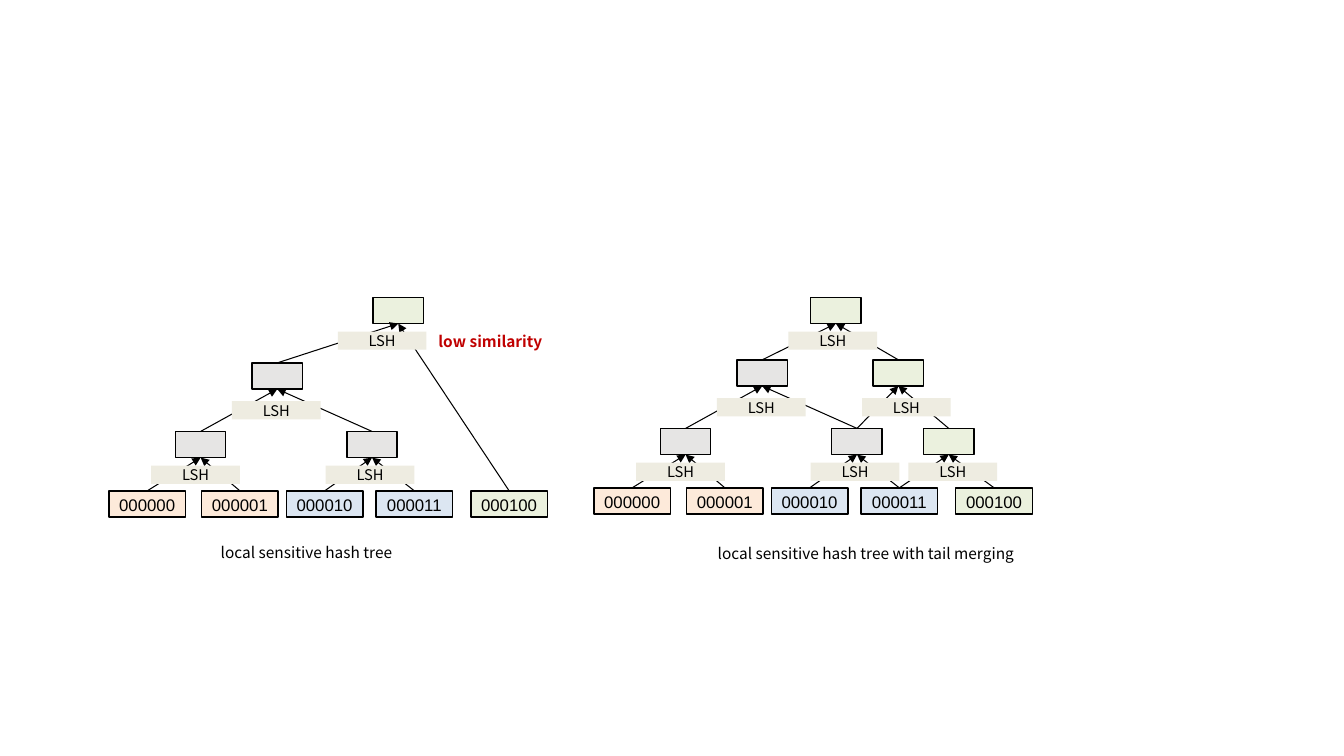
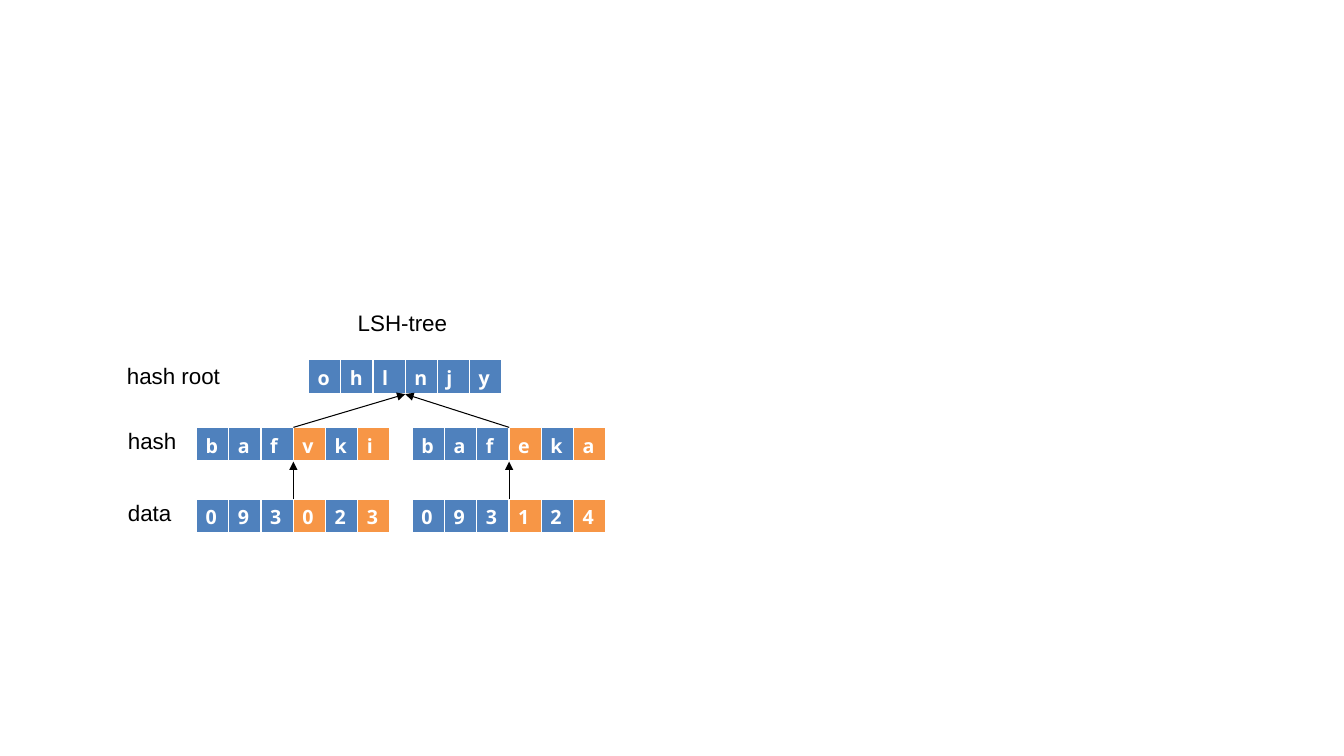
from lxml import etree
from pptx import Presentation
from pptx.dml import color
from pptx.enum import shapes, text
from pptx.oxml import ns
from pptx.util import Inches, Pt

BLACK, WHITE, RED = "000000", "FFFFFF", "C00000"
PEACH, PALE_BLUE, PALE_GREEN = "FDEADA", "DCE6F2", "EBF1DE"
GREY, BEIGE, BLUE, ORANGE = "E6E5E4", "EEECE1", "4F81BD", "F79646"
SANS, CJK, TABLE_FONT = "Arial", "Noto Sans CJK SC", "Open Sans"

LEAF_SIZE, NODE_SIZE, TAG_SIZE = (0.76, 0.26), (0.5, 0.26), (0.88, 0.18)
ROOT_TOP, ROOT_TAG_TOP = 2.95, 3.29
NODE_RISE = {1: 0.59, 2: 1.27}
TAG_RISE = {1: 0.25, 2: 0.89}

LEAVES = [
    ("000000", 0, PEACH),
    ("000001", 0.92, PEACH),
    ("000010", 1.76, PALE_BLUE),
    ("000011", 2.65, PALE_BLUE),
    ("000100", 3.59, PALE_GREEN),
]
SHARED_NODES = [
    ("first pair", 1, 0.66, GREY, 0.42, ("000000", "000001")),
    ("second pair", 1, 2.36, GREY, 2.15, ("000010", "000011")),
    ("quad", 2, 1.42, GREY, 1.22, ("first pair", "second pair")),
]
TREES = [
    {
        "left": 1.08,
        "leaf_top": 4.87,
        "nodes": SHARED_NODES + [
            ("root", 3, 2.62, PALE_GREEN, 2.27, ("quad", "000100")),
        ],
    },
    {
        "left": 5.89,
        "leaf_top": 4.84,
        "nodes": SHARED_NODES + [
            ("tail pair", 1, 3.27, PALE_GREEN, 3.12, ("000011", "000100")),
            ("tail quad", 2, 2.77, PALE_GREEN, 2.66, ("second pair", "tail pair")),
            ("root", 3, 2.15, PALE_GREEN, 1.93, ("quad", "tail quad")),
        ],
    },
]
TREE_LABELS = [
    ("local sensitive hash tree", (2.09, 5.34, 2.29, 0.29), {}),
    ("low similarity", (4.25, 3.25, 1.27, 0.29), {"color": RED, "bold": True}),
    ("local sensitive hash tree with tail merging", (7.02, 5.35, 3.36, 0.29), {}),
]

CELL, ROW_HEIGHT = 0.32, 0.33
ROOT_ROW = (3.57, [(3.06, "ohlnjy")])
HASH_ROW = (4.24, [(1.95, "bafvki"), (4.09, "bafeka")])
DATA_ROW = (4.95, [(1.95, "093023"), (4.09, "093124")])
ROW_LABELS = [
    ("LSH-tree", (3.45, 3.02, 1.14, 0.37)),
    ("hash root", (1.16, 3.54, 1.14, 0.37)),
    ("hash", (1.17, 4.19, 0.75, 0.37)),
    ("data", (1.17, 4.9, 0.75, 0.37)),
]


def rgb(value):
    return color.RGBColor.from_string(value)


def write(frame, content, size=11, font=CJK, color=BLACK, bold=False, align=None):
    para = frame.paragraphs[0]
    para.alignment = align
    span = para.add_run()
    span.text = content
    span.font.size = Pt(size)
    span.font.name = font
    span.font.bold = bold
    span.font.color.rgb = rgb(color)


def add_label(page, content, place, **style):
    box = page.shapes.add_textbox(*map(Inches, place))
    box.text_frame.word_wrap = True
    write(box.text_frame, content, **style)


def add_box(parent, left, top, size, fill, outlined=True):
    place = map(Inches, (left, top, *size))
    box = parent.shapes.add_shape(shapes.MSO_SHAPE.RECTANGLE, *place)
    box.shadow.inherit = False
    box.fill.solid()
    box.fill.fore_color.rgb = rgb(fill)
    if outlined:
        box.line.color.rgb = rgb(BLACK)
        box.line.width = Pt(1)
    else:
        box.line.fill.background()
    return box


def add_leaf(parent, content, left, top, fill):
    box = add_box(parent, left, top, LEAF_SIZE, fill)
    frame = box.text_frame
    frame.vertical_anchor = text.MSO_ANCHOR.TOP
    frame.margin_left = frame.margin_right = Inches(0.07)
    frame.margin_top = frame.margin_bottom = Inches(0.04)
    write(frame, content, size=12, font=SANS, align=text.PP_ALIGN.CENTER)
    return box


def add_tag(parent, left, top):
    frame = add_box(parent, left, top, TAG_SIZE, BEIGE, outlined=False).text_frame
    frame.vertical_anchor = text.MSO_ANCHOR.MIDDLE
    frame.margin_top = frame.margin_bottom = 0
    write(frame, "LSH", size=10.5, align=text.PP_ALIGN.CENTER)


def add_arrow(parent, start=(0, 0), end=(0, 0)):
    points = map(Inches, (*start, *end))
    arrow = parent.shapes.add_connector(shapes.MSO_CONNECTOR.STRAIGHT, *points)
    arrow.line.color.rgb = rgb(BLACK)
    arrow.line.width = Pt(0.75)
    properties = arrow.element.spPr
    outline = properties.find(ns.qn("a:ln"))
    etree.SubElement(outline, ns.qn("a:tailEnd"), type="triangle")
    etree.SubElement(properties, ns.qn("a:effectLst"))
    return arrow


def add_tree(page, left, leaf_top, nodes):
    group = page.shapes.add_group_shape()
    boxes = {
        name: add_leaf(group, name, left + offset, leaf_top, fill)
        for name, offset, fill in LEAVES
    }
    for name, level, offset, fill, _, _ in nodes:
        top = leaf_top - NODE_RISE[level] if level in NODE_RISE else ROOT_TOP
        boxes[name] = add_box(group, left + offset, top, NODE_SIZE, fill)
    for name, _, _, _, _, children in nodes:
        for child in children:
            arrow = add_arrow(group)
            arrow.begin_connect(boxes[child], 0)
            arrow.end_connect(boxes[name], 2)
    for _, level, _, _, offset, _ in nodes:
        top = leaf_top - TAG_RISE[level] if level in TAG_RISE else ROOT_TAG_TOP
        add_tag(group, left + offset, top)


def add_strip(page, left, top, letters, marked):
    count = len(letters)
    place = map(Inches, (left, top, CELL * count, ROW_HEIGHT))
    table = page.shapes.add_table(1, count, *place).table
    for column, letter in enumerate(letters):
        table.columns[column].width = Inches(CELL)
        cell = table.cell(0, column)
        cell.margin_left = Inches(0.09)
        cell.margin_right = 0
        cell.margin_top = Inches(0.05)
        cell.margin_bottom = Inches(0.01)
        cell.fill.solid()
        cell.fill.fore_color.rgb = rgb(ORANGE if column in marked else BLUE)
        write(cell.text_frame, letter, size=14, font=TABLE_FONT, color=WHITE, bold=True)


def add_row(page, top, strips):
    columns = zip(*(letters for _, letters in strips))
    marked = {i for i, column in enumerate(columns) if len(set(column)) > 1}
    for left, letters in strips:
        add_strip(page, left, top, letters, marked)


def strip_middle(strip):
    left, letters = strip
    return left + CELL * len(letters) / 2


def link_rows(page, lower, upper):
    lower_top, children = lower
    upper_top, parents = upper
    if len(parents) == 1:
        parents = parents * len(children)
    for child, parent in zip(children, parents):
        start = (strip_middle(child), lower_top)
        end = (strip_middle(parent), upper_top + ROW_HEIGHT + 0.01)
        add_arrow(page, start, end)


def main():
    deck = Presentation()
    deck.slide_width, deck.slide_height = Inches(13.33), Inches(7.5)
    blank = deck.slide_layouts[6]

    page = deck.slides.add_slide(blank)
    for tree in TREES:
        add_tree(page, **tree)
    for content, place, style in TREE_LABELS:
        add_label(page, content, place, **style)

    page = deck.slides.add_slide(blank)
    for content, place in ROW_LABELS:
        add_label(page, content, place, size=16, font=SANS)
    for row in (ROOT_ROW, HASH_ROW, DATA_ROW):
        add_row(page, *row)
    link_rows(page, HASH_ROW, ROOT_ROW)
    link_rows(page, DATA_ROW, HASH_ROW)

    deck.save("out.pptx")


if __name__ == "__main__":
    main()
